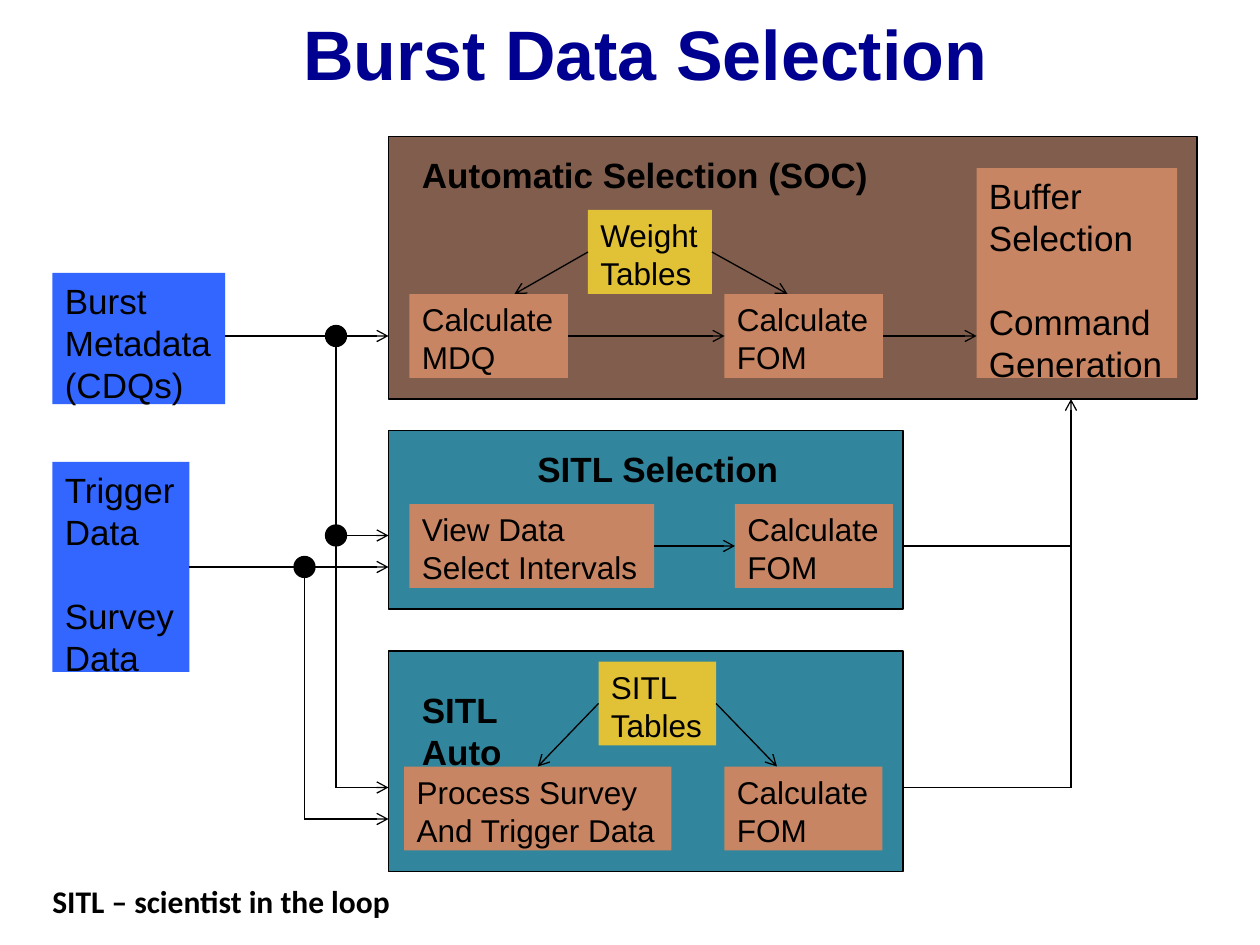
from lxml.etree import SubElement
from pptx import Presentation
from pptx.dml.color import RGBColor
from pptx.enum.shapes import MSO_CONNECTOR, MSO_SHAPE
from pptx.enum.text import MSO_ANCHOR, MSO_AUTO_SIZE, PP_ALIGN
from pptx.oxml.ns import qn
from pptx.util import Inches, Pt

BLACK = RGBColor(0x00, 0x00, 0x00)
NAVY = RGBColor(0x00, 0x00, 0x90)
BLUE = RGBColor(0x33, 0x66, 0xFF)
BROWN = RGBColor(0x80, 0x5D, 0x4C)
TEAL = RGBColor(0x31, 0x85, 0x9C)
COPPER = RGBColor(0xC7, 0x85, 0x63)
YELLOW = RGBColor(0xE1, 0xC2, 0x37)

# All places are in grid cells: 120 columns by 90 rows on a 10 x 7.5 inch slide.
CELL = Inches(10) / 120
TOP, LEFT, BOTTOM, RIGHT = range(4)

TITLE = ("Burst Data Selection", (19.8, 0, 83.3, 10))

PANELS = [  # place, fill
    ((37, 13, 77, 25), BROWN),
    ((37, 41, 49, 17), TEAL),
    ((37, 62, 49, 21), TEAL),
]

# Each inner tuple of lines is a block; blocks are set one line apart.
BOXES = {  # name: (blocks, place, fill, text size)
    "metadata": ([("Burst", "Metadata", "(CDQs)")], (5, 26, 16.45, 12.5), BLUE, 20),
    "survey": ([("Trigger", "Data"), ("Survey", "Data")], (5, 44, 13.05, 20), BLUE, 20),
    "weights": ([("Weight", "Tables")], (56, 20, 11.8, 8), YELLOW, 18),
    "mdq": ([("Calculate", "MDQ")], (39, 28, 15.1, 8), COPPER, 18),
    "soc fom": ([("Calculate", "FOM")], (69, 28, 15.1, 8), COPPER, 18),
    "buffer": ([("Buffer", "Selection"), ("Command", "Generation")],
               (93, 16, 19.1, 20), COPPER, 20),
    "view": ([("View Data", "Select Intervals")], (39, 48, 23.3, 8), COPPER, 18),
    "sitl fom": ([("Calculate", "FOM")], (70, 48, 15.05, 8), COPPER, 18),
    "sitl tables": ([("SITL", "Tables")], (57, 63, 11.2, 8), YELLOW, 18),
    "process": ([("Process Survey", "And Trigger Data")], (38.5, 73, 25.45, 8), COPPER, 18),
    "auto fom": ([("Calculate", "FOM")], (69, 73, 15.05, 8), COPPER, 18),
}

LABELS = [  # lines, place, font, size
    (("Automatic Selection (SOC)",), (39, 14, 45.2, 5), "Arial", 20),
    (("SITL Selection",), (50, 42, 25.6, 5), "Arial", 20),
    (("SITL", "Auto"), (39, 65, 10.1, 8.8), "Arial", 20),
    (("SITL – scientist in the loop",), (3.8, 83.4, 34.9, 4.8), "Calibri", 18),
]

# An end is either a grid point or (box name, side) to be joined.
ARROWS = [
    (("weights", LEFT), (49, 28)),
    (("weights", RIGHT), (75, 28)),
    (("mdq", RIGHT), ("soc fom", LEFT)),
    (("soc fom", RIGHT), (93, 32)),
    (("view", RIGHT), ("sitl fom", LEFT)),
    (("sitl tables", LEFT), ("process", TOP)),
    (("sitl tables", RIGHT), (74, 73)),
    ((21.45, 32), (37, 32)),
    (("survey", RIGHT), (37, 54)),
    ((32, 51), (37, 51)),
    ((32, 75), (37, 75)),
    ((29, 78), (37, 78)),
    ((102, 75), (102, 38)),
]
PLAIN_LINES = [
    ((32, 31), (32, 75)),
    ((29, 54), (29, 78)),
    ((86, 52), (102, 52)),
    ((86, 75), (102, 75)),
]
JUNCTIONS = [(32, 32), (32, 51), (29, 54)]
JUNCTION_SIZE = 2


def cells(values):
    return [round(value * CELL) for value in values]


def add_filled(slide, preset, place, fill, outlined):
    shape = slide.shapes.add_shape(preset, *cells(place))
    shape.shadow.inherit = False
    shape.fill.solid()
    shape.fill.fore_color.rgb = fill
    if outlined:
        shape.line.color.rgb = BLACK
        shape.line.width = Pt(0.75)
    else:
        shape.line.fill.background()
    return shape


def write(shape, blocks, size, font="Arial", color=BLACK, bold=False, align=PP_ALIGN.LEFT):
    frame = shape.text_frame
    for b, block in enumerate(blocks):
        for i, line in enumerate(block):
            first = b == 0 and i == 0
            paragraph = frame.paragraphs[0] if first else frame.add_paragraph()
            paragraph.alignment = align
            if b > 0 and i == 0:
                paragraph.space_before = Pt(size * 1.2)
            run = paragraph.add_run()
            run.text = line
            run.font.name = font
            run.font.size = Pt(size)
            run.font.bold = bold
            run.font.color.rgb = color


def hug_text(shape):
    shape.text_frame.word_wrap = False
    shape.text_frame.auto_size = MSO_AUTO_SIZE.SHAPE_TO_FIT_TEXT
    shape.text_frame.vertical_anchor = MSO_ANCHOR.TOP


def add_line(slide, boxes, start, end, arrow):
    points = [(0, 0) if p[0] in boxes else p for p in (start, end)]
    line = slide.shapes.add_connector(
        MSO_CONNECTOR.STRAIGHT, *cells(points[0]), *cells(points[1]))
    for p, connect in ((start, line.begin_connect), (end, line.end_connect)):
        if p[0] in boxes:
            connect(boxes[p[0]], p[1])
    line.line.color.rgb = BLACK
    line.line.width = Pt(0.75)
    if arrow:
        SubElement(line.line._get_or_add_ln(), qn("a:tailEnd"), type="arrow")
    SubElement(line._element.spPr, qn("a:effectLst"))


def main():
    deck = Presentation()
    deck.slide_width, deck.slide_height = Inches(10), Inches(7.5)
    slide = deck.slides.add_slide(deck.slide_layouts[6])

    heading, place = TITLE
    title = slide.shapes.add_textbox(*cells(place))
    title.text_frame.word_wrap = True
    title.text_frame.vertical_anchor = MSO_ANCHOR.MIDDLE
    write(title, [(heading,)], 40, color=NAVY, bold=True, align=PP_ALIGN.CENTER)

    for place, fill in PANELS:
        add_filled(slide, MSO_SHAPE.RECTANGLE, place, fill, outlined=True)

    boxes = {}
    for name, (blocks, place, fill, size) in BOXES.items():
        boxes[name] = add_filled(slide, MSO_SHAPE.RECTANGLE, place, fill, outlined=False)
        hug_text(boxes[name])
        write(boxes[name], blocks, size)

    for lines, place, font, size in LABELS:
        label = slide.shapes.add_textbox(*cells(place))
        hug_text(label)
        write(label, [lines], size, font, bold=True)

    for start, end in ARROWS:
        add_line(slide, boxes, start, end, arrow=True)
    for start, end in PLAIN_LINES:
        add_line(slide, boxes, start, end, arrow=False)

    for x, y in JUNCTIONS:
        place = (x - JUNCTION_SIZE / 2, y - JUNCTION_SIZE / 2, JUNCTION_SIZE, JUNCTION_SIZE)
        add_filled(slide, MSO_SHAPE.OVAL, place, BLACK, outlined=True)

    deck.save("out.pptx")


if __name__ == "__main__":
    main()
